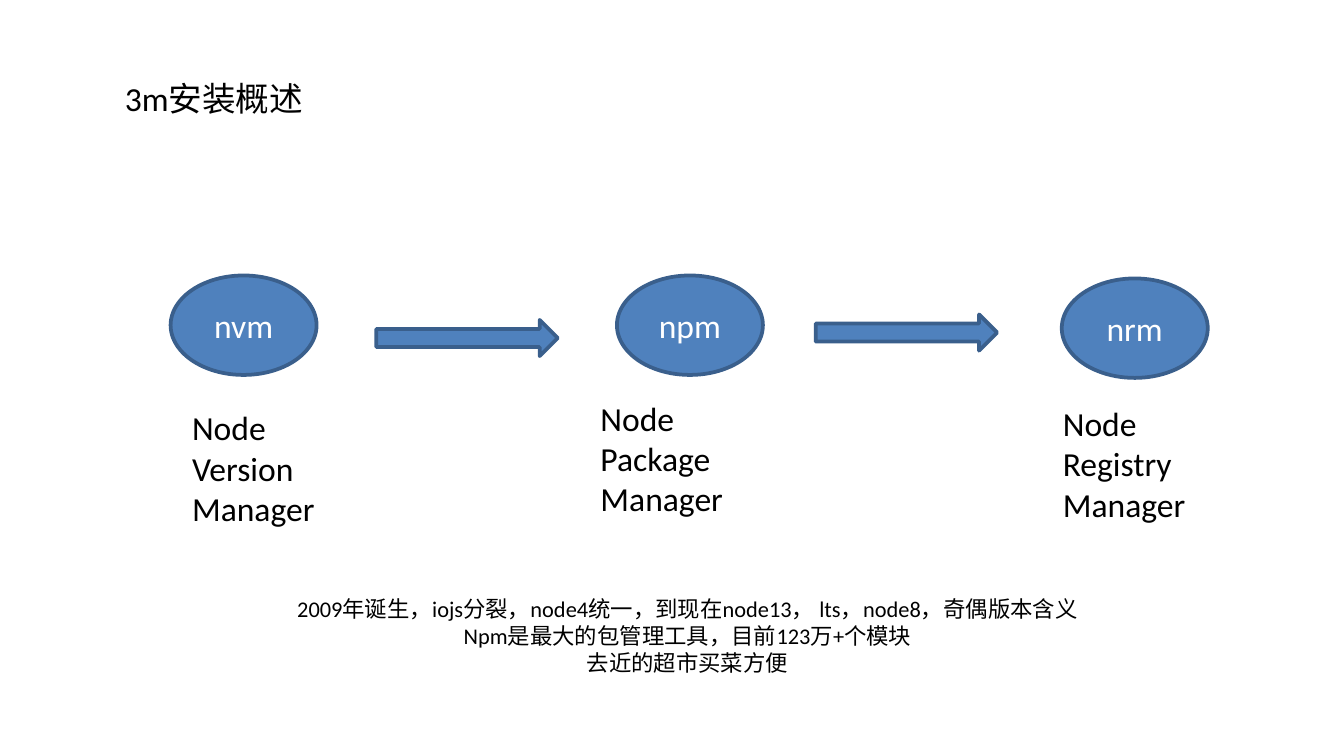
import pptx
import pptx.util
import pptx.dml.color
import pptx.enum.shapes
import pptx.enum.text

Pt = pptx.util.Pt
SHAPE = pptx.enum.shapes.MSO_SHAPE
ALIGN = pptx.enum.text.PP_ALIGN
ANCHOR = pptx.enum.text.MSO_ANCHOR

COLOURS = {"blue": "4F81BD", "outline": "3A5F8C", "white": "FFFFFF", "black": "000000"}
FONT = "Calibri"


def colour(name):
    return pptx.dml.color.RGBColor.from_string(COLOURS[name])


def write_text(box, lines, size=18, ink="black", align=ALIGN.LEFT,
               anchor=ANCHOR.TOP, wrap=True):
    """Fill a box with one paragraph per line."""
    frame = box.text_frame
    frame.word_wrap = wrap
    frame.vertical_anchor = anchor
    for index, line in enumerate(lines):
        para = frame.paragraphs[0] if index == 0 else frame.add_paragraph()
        para.alignment = align
        span = para.add_run()
        span.text = line
        span.font.size = Pt(size)
        span.font.name = FONT
        span.font.color.rgb = colour(ink)


def add_text(page, bounds, lines, **style):
    box = page.shapes.add_textbox(*map(Pt, bounds))
    write_text(box, lines, **style)


def add_blue_shape(page, kind, bounds):
    shape = page.shapes.add_shape(kind, *map(Pt, bounds))
    shape.shadow.inherit = False
    shape.fill.solid()
    shape.fill.fore_color.rgb = colour("blue")
    shape.line.color.rgb = colour("outline")
    shape.line.width = Pt(2)
    return shape


def add_tool(page, bounds, name, word, label_offset):
    """Place an ellipse and the spelled-out name below it."""
    left, top = bounds[:2]
    ellipse = add_blue_shape(page, SHAPE.OVAL, bounds)
    write_text(ellipse, [name], ink="white", align=ALIGN.CENTER, anchor=ANCHOR.MIDDLE)
    shift, drop = label_offset
    add_text(page, (left + shift, top + drop, 80.6, 72.7),
             ["Node", word, "Manager"], wrap=False)


def build_overview(page):
    # Title
    add_text(page, (59.8, 38.2, 110.9, 28.8), ["3m安装概述"])

    # Three tools, with the label's offset from its ellipse
    tools = [
        (91.4, 147.6, "nvm", "Version", (4.4, 67)),
        (330.5, 147.6, "npm", "Package", (-15.9, 61.9)),
        (568.8, 149.2, "nrm", "Registry", (-6.5, 63.2)),
    ]
    for left, top, name, word, offset in tools:
        add_tool(page, (left, top, 78.2, 53.3), name, word, offset)

    # Arrows between the tools
    for left, top in [(201.6, 171.4), (437, 168.5)]:
        add_blue_shape(page, SHAPE.RIGHT_ARROW, (left, top, 97.2, 19.4))

    # Remarks
    add_text(page, (136.1, 315.4, 464.4, 51.1), [
        "2009年诞生，iojs分裂，node4统一，到现在node13， lts，node8，奇偶版本含义",
        "Npm是最大的包管理工具，目前123万+个模块",
        "去近的超市买菜方便",
    ], size=12, align=ALIGN.CENTER)


def main():
    deck = pptx.Presentation()
    deck.slide_width, deck.slide_height = Pt(720), Pt(405)
    build_overview(deck.slides.add_slide(deck.slide_layouts[6]))
    deck.save("out.pptx")


if __name__ == "__main__":
    main()
